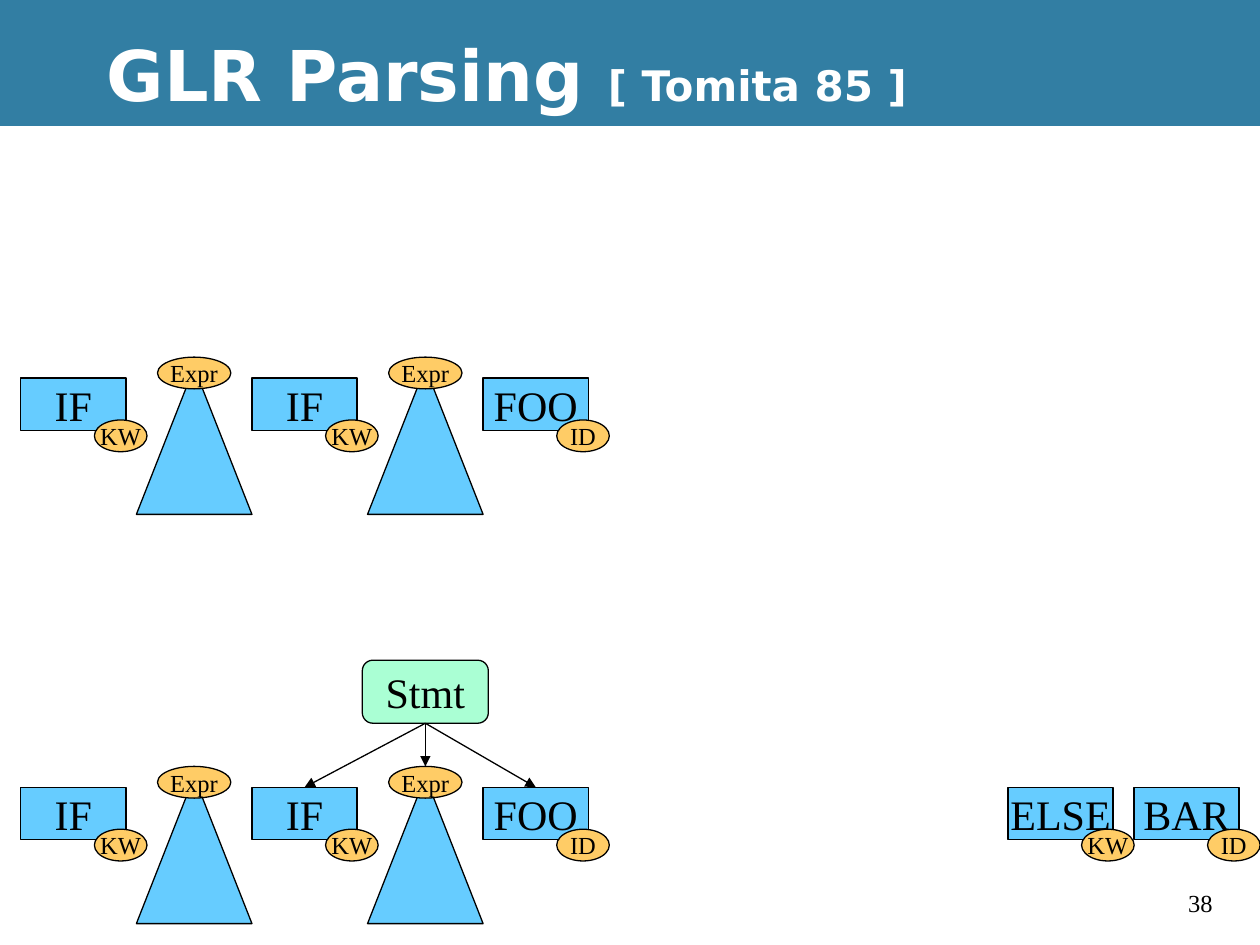
from dataclasses import dataclass

from lxml import etree
from pptx import Presentation
from pptx.dml.color import RGBColor
from pptx.enum.shapes import MSO_CONNECTOR, MSO_SHAPE
from pptx.enum.text import MSO_ANCHOR, PP_ALIGN
from pptx.oxml.ns import qn
from pptx.util import Cm, Pt

RECT, OVAL = MSO_SHAPE.RECTANGLE, MSO_SHAPE.OVAL
ROUNDED, TRIANGLE = MSO_SHAPE.ROUNDED_RECTANGLE, MSO_SHAPE.ISOSCELES_TRIANGLE
STRAIGHT = MSO_CONNECTOR.STRAIGHT
MIDDLE, LEFT, CENTER = MSO_ANCHOR.MIDDLE, PP_ALIGN.LEFT, PP_ALIGN.CENTER
TOP_SITE, BOTTOM_SITE = 0, 2


@dataclass(frozen=True)
class Theme:
    ink: str = "000000"
    paper: str = "FFFFFF"
    header: str = "327EA3"
    token: str = "66CCFF"
    tag: str = "FFCC66"
    statement: str = "AAFFD4"
    title_font: str = "DejaVu Sans"
    body_font: str = "Times New Roman"
    title_size: int = 40
    node_size: int = 24
    tag_size: int = 14
    line_width: float = 0.75


THEME = Theme()

# Sizes in cm
SLIDE_W, SLIDE_H, HEADER_H = 25.4, 19.05, 2.54
SLOT = 2.33  # width of one place in a row of the parse stack
TOKEN_W, TOKEN_H, TOKEN_DROP = 2.12, 1.06, 0.42
TAG_W, TAG_H = 1.06, 0.64
TREE_H, TREE_DROP, TREE_LABEL_W = 2.96, 0.21, 1.48


def color(code):
    return RGBColor.from_string(code)


def apply(target, formats):
    for name, value in formats.items():
        setattr(target, name, value)


def set_font(font, size, ink=THEME.ink, name=THEME.body_font, bold=False):
    apply(font, {"name": name, "size": Pt(size), "bold": bold})
    font.color.rgb = color(ink)


def add_node(shapes, kind, box, fill, text="", size=THEME.node_size):
    """Outlined, filled shape with an unwrapped, centred label."""
    node = shapes.add_shape(kind, *map(Cm, box))
    node.shadow.inherit = False
    node.fill.solid()
    node.fill.fore_color.rgb = color(fill)
    node.line.color.rgb = color(THEME.ink)
    node.line.width = Pt(THEME.line_width)
    if text:
        frame = node.text_frame
        apply(frame, {"word_wrap": False, "vertical_anchor": MIDDLE,
                      "margin_left": 0, "margin_right": 0,
                      "margin_top": 0, "margin_bottom": 0})
        label = frame.paragraphs[0]
        label.text, label.alignment = text, CENTER
        set_font(label.font, size)
    return node


def add_token(slide, left, top, word, tag):
    """Input token with its tag at the lower right; returns the token box."""
    shapes = slide.shapes.add_group_shape().shapes
    token = add_node(shapes, RECT, (left, top + TOKEN_DROP, TOKEN_W, TOKEN_H),
                     THEME.token, word)
    tag_left = left + TOKEN_W - 0.6 * TAG_W
    tag_top = top + TOKEN_DROP + TOKEN_H - TAG_H / 3
    add_node(shapes, OVAL, (tag_left, tag_top, TAG_W, TAG_H),
             THEME.tag, tag, THEME.tag_size)
    return token


def add_subtree(slide, left, top, symbol):
    """Parsed subtree under its symbol; returns the symbol oval."""
    shapes = slide.shapes.add_group_shape().shapes
    add_node(shapes, TRIANGLE, (left, top + TREE_DROP, SLOT, TREE_H), THEME.token)
    label_left = left + (SLOT - TREE_LABEL_W) / 2
    return add_node(shapes, OVAL, (label_left, top, TREE_LABEL_W, TAG_H),
                    THEME.tag, symbol, THEME.tag_size)


def add_stack(slide, left, top):
    """Row of alternating tokens and subtrees, one per slot."""
    items = (("IF", "KW"), ("Expr",), ("IF", "KW"), ("Expr",), ("FOO", "ID"))
    return [(add_token if len(item) == 2 else add_subtree)(
                slide, left + i * SLOT, top, *item)
            for i, item in enumerate(items)]


def add_lookahead(slide, left, top):
    """Tokens that are still to be read."""
    for i, item in enumerate((("ELSE", "KW"), ("BAR", "ID"))):
        add_token(slide, left + i * 2.54, top, *item)


def add_statement(slide, box, children):
    """Reduced statement with an arrow to each of its children."""
    statement = add_node(slide.shapes, ROUNDED, box, THEME.statement, "Stmt")
    for child in children:
        arrow = slide.shapes.add_connector(STRAIGHT, 0, 0, 0, 0)
        arrow.begin_connect(statement, BOTTOM_SITE)
        arrow.end_connect(child, TOP_SITE)
        arrow.line.color.rgb = color(THEME.ink)
        arrow.line.width = Pt(THEME.line_width)
        etree.SubElement(arrow.line._get_or_add_ln(), qn("a:tailEnd"), type="triangle")
        etree.SubElement(arrow._element.spPr, qn("a:effectLst"))


def add_backdrop(slide):
    """Header band and body panel, placed behind the title."""
    for top, height, fill in ((0, HEADER_H, THEME.header),
                              (HEADER_H, SLIDE_H - HEADER_H, THEME.paper)):
        panel = add_node(slide.shapes, RECT, (0, top, SLIDE_W, height), fill)
        panel.line.fill.background()
        slide.shapes._spTree.insert(2, panel._element)


def add_title(slide, left, top, width, height):
    title = slide.shapes.title
    apply(title, {"left": Cm(left), "top": Cm(top),
                  "width": Cm(width), "height": Cm(height)})
    apply(title.text_frame, {"vertical_anchor": MIDDLE, "word_wrap": True})
    heading = title.text_frame.paragraphs[0]
    heading.alignment = LEFT
    for text, size in (("GLR Parsing ", THEME.title_size),
                       ("[ Tomita 85 ]", THEME.node_size)):
        run = heading.add_run()
        run.text = text
        set_font(run.font, size, THEME.paper, THEME.title_font, bold=True)


def add_page_number(slide, left, top, width, height):
    frame = slide.shapes.add_textbox(*map(Cm, (left, top, width, height))).text_frame
    frame.word_wrap = True
    number = frame.paragraphs[0]
    number.text = "38"
    set_font(number.font, THEME.tag_size)


def main():
    deck = Presentation()
    deck.slide_width, deck.slide_height = Cm(SLIDE_W), Cm(SLIDE_H)
    slide = deck.slides.add_slide(deck.slide_layouts[5])
    slide.background.fill.solid()
    slide.background.fill.fore_color.rgb = color(THEME.ink)

    add_backdrop(slide)
    add_title(slide, 1.9, 0.21, 23.5, 2.54)
    add_page_number(slide, 23.7, 17.78, 1.27, 0.85)

    # Stack before and after the reduction
    stack_left, before_top, after_top = 0.42, 7.2, 15.45
    add_stack(slide, stack_left, before_top)
    reduced = add_stack(slide, stack_left, after_top)
    add_lookahead(slide, 20.32, after_top)

    # The statement is centred over the second subtree
    statement_w = 2.54
    statement_left = stack_left + 3.5 * SLOT - statement_w / 2
    add_statement(slide, (statement_left, 13.31, statement_w, 1.27), reduced[2:])

    deck.save("out.pptx")


if __name__ == "__main__":
    main()
